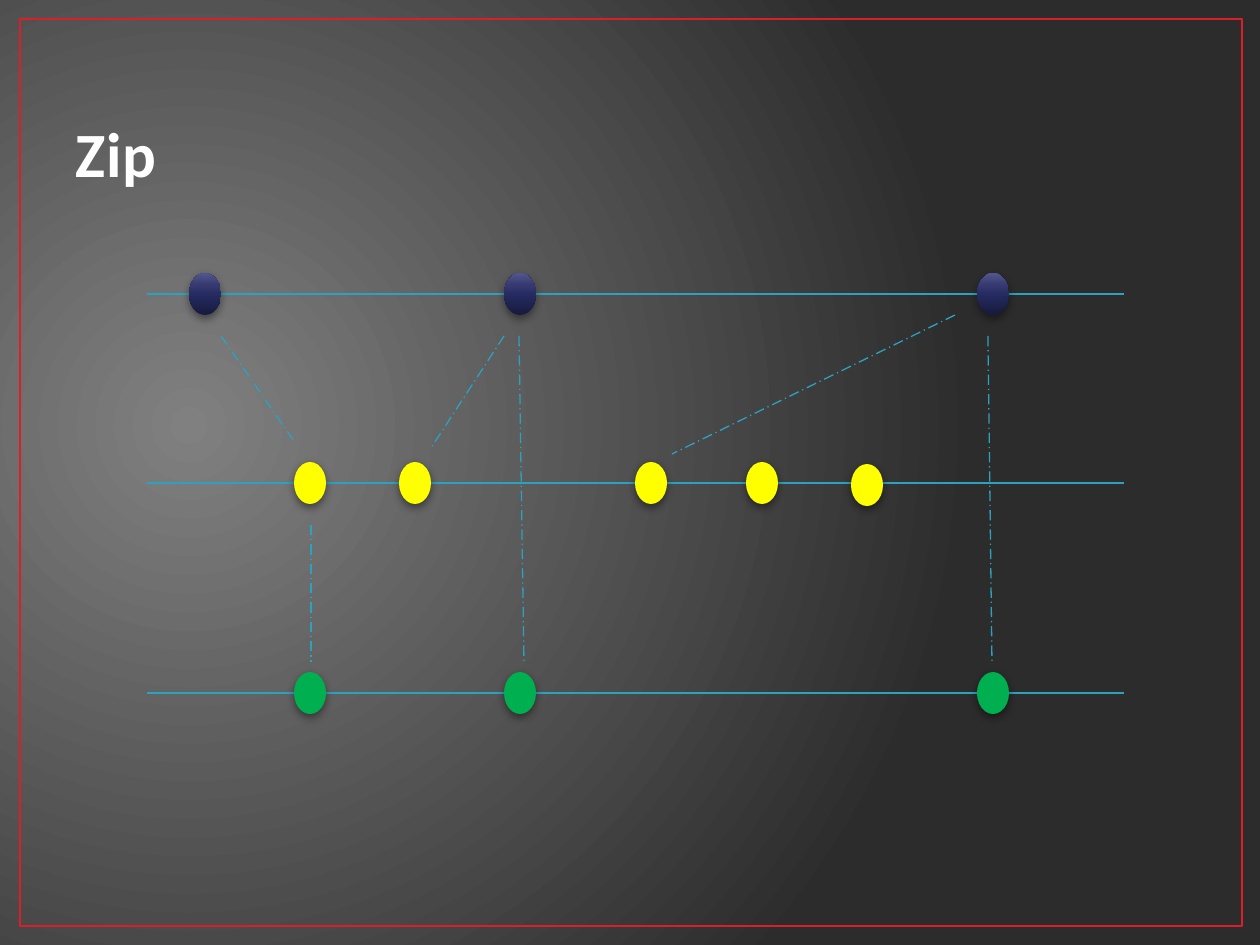
from dataclasses import dataclass
from typing import Any

from lxml import etree
from pptx import Presentation
from pptx import util as u
from pptx.dml.color import RGBColor
from pptx.enum import dml, shapes, text
from pptx.oxml.ns import nsdecls, qn

SCALE = 914400 / 126


def px(length: float) -> u.Emu:
    return u.Emu(round(length * SCALE))


def set_all(target: Any, values: dict[str, Any]) -> None:
    for key, value in values.items():
        setattr(target, key, value)


@dataclass(frozen=True)
class Theme:
    font: str = "Calibri"
    title_size: int = 36
    title: str = "FEFEFE"
    title_outline: str = "175160"
    frame: str = "DA1F28"
    line: str = "2DA2BF"
    frame_width: float = 1.5
    line_width: float = 0.75
    backdrop: tuple = ((0, "808080"), (100, "2C2C2C"))
    first: tuple = ((0, "171A3D"), (50, "262B61"), (70, "353970"), (100, "51568D"))
    second: str = "FFFF00"
    zipped: str = "00B050"


@dataclass(frozen=True)
class Stream:
    y: int
    fill: str | tuple
    events: tuple[tuple[int, int], ...]


@dataclass(frozen=True)
class Link:
    x1: int
    y1: int
    x2: int
    y2: int


THEME = Theme()
LINE_LEFT, LINE_RIGHT = 147, 1124
MARBLE_WIDTH, MARBLE_HEIGHT = 32, 42
STREAMS = (
    Stream(294, THEME.first, ((189, 0), (504, 0), (977, 0))),
    Stream(483, THEME.second, ((294, 0), (399, 0), (635, 0), (746, 0), (851, 2))),
    Stream(693, THEME.zipped, ((294, 0), (504, 0), (977, 0))),
)
LINKS = (
    Link(221, 336, 294, 441),
    Link(504, 336, 431, 448),
    Link(955, 315, 672, 454),
    Link(311, 525, 311, 662),
    Link(519, 336, 524, 662),
    Link(988, 336, 992, 662),
)


def gradient(stops: tuple, direction: str) -> Any:
    marks = "".join(
        f'<a:gs pos="{at * 1000}"><a:srgbClr val="{color}"/></a:gs>' for at, color in stops
    )
    return etree.fromstring(
        f'<a:gradFill {nsdecls("a")} rotWithShape="1"><a:gsLst>{marks}</a:gsLst>'
        f"{direction}</a:gradFill>"
    )


def replace_gradient(fill: Any, owner: Any, stops: tuple, direction: str) -> None:
    fill.gradient()
    current = next(owner.iter(qn("a:gradFill")))
    current.getparent().replace(current, gradient(stops, direction))


def paint_backdrop(slide: Any) -> None:
    focus = (
        '<a:path path="circle">'
        '<a:fillToRect l="15000" t="50000" r="85000" b="60000"/></a:path>'
    )
    replace_gradient(slide.background.fill, slide.element, THEME.backdrop, focus)


def draw_frame(slide: Any) -> None:
    frame = slide.shapes.add_shape(
        shapes.MSO_SHAPE.RECTANGLE, px(20), px(19), px(1222), px(907)
    )
    frame.shadow.inherit = False
    frame.fill.background()
    frame.line.color.rgb = RGBColor.from_string(THEME.frame)
    frame.line.width = u.Pt(THEME.frame_width)


def write_title(slide: Any, wording: str) -> None:
    title = slide.shapes.title
    set_all(title, {"left": px(63), "top": px(38), "width": px(1134), "height": px(158)})
    title.text_frame.vertical_anchor = text.MSO_ANCHOR.BOTTOM
    paragraph = title.text_frame.paragraphs[0]
    paragraph.alignment = text.PP_ALIGN.LEFT
    run = paragraph.add_run()
    run.text = wording
    set_all(run.font, {"name": THEME.font, "size": u.Pt(THEME.title_size), "bold": True})
    run.font.color.rgb = RGBColor.from_string(THEME.title)
    properties = run.font._element
    properties.set("spc", "50")
    properties.insert(0, etree.fromstring(
        f'<a:ln {nsdecls("a")} w="13335"><a:solidFill>'
        f'<a:srgbClr val="{THEME.title_outline}"/></a:solidFill></a:ln>'
    ))


def draw_line(slide: Any, link: Link, dash: Any = None) -> None:
    line = slide.shapes.add_connector(
        shapes.MSO_CONNECTOR.STRAIGHT, px(link.x1), px(link.y1), px(link.x2), px(link.y2)
    )
    line.line.color.rgb = RGBColor.from_string(THEME.line)
    set_all(line.line, {"width": u.Pt(THEME.line_width), "dash_style": dash})
    etree.SubElement(line._element.spPr, qn("a:effectLst"))


def draw_marble(slide: Any, left: int, top: int, fill: str | tuple) -> None:
    marble = slide.shapes.add_shape(
        shapes.MSO_SHAPE.OVAL, px(left), px(top), px(MARBLE_WIDTH), px(MARBLE_HEIGHT)
    )
    marble.line.fill.background()
    if isinstance(fill, str):
        marble.fill.solid()
        marble.fill.fore_color.rgb = RGBColor.from_string(fill)
    else:
        replace_gradient(
            marble.fill, marble._element, fill, '<a:lin ang="16200000" scaled="0"/>'
        )
    marble.shadow.inherit = False
    effects = marble._element.spPr.find(qn("a:effectLst"))
    effects.append(etree.fromstring(
        f'<a:outerShdw {nsdecls("a")} blurRad="63500" dist="25400" dir="5400000" '
        'rotWithShape="0"><a:srgbClr val="000000"><a:alpha val="43000"/>'
        "</a:srgbClr></a:outerShdw>"
    ))


def main() -> None:
    deck = Presentation()
    set_all(deck, {"slide_width": px(1260), "slide_height": px(945)})
    slide = deck.slides.add_slide(deck.slide_layouts.get_by_name("Title Only"))
    paint_backdrop(slide)
    draw_frame(slide)
    write_title(slide, "Zip")
    for stream in STREAMS:
        draw_line(slide, Link(LINE_LEFT, stream.y, LINE_RIGHT, stream.y))
    for stream in STREAMS:
        for left, drop in stream.events:
            draw_marble(slide, left, stream.y - MARBLE_HEIGHT // 2 + drop, stream.fill)
    for link in LINKS:
        draw_line(slide, link, dml.MSO_LINE.LONG_DASH_DOT)
    deck.save("out.pptx")


main()
